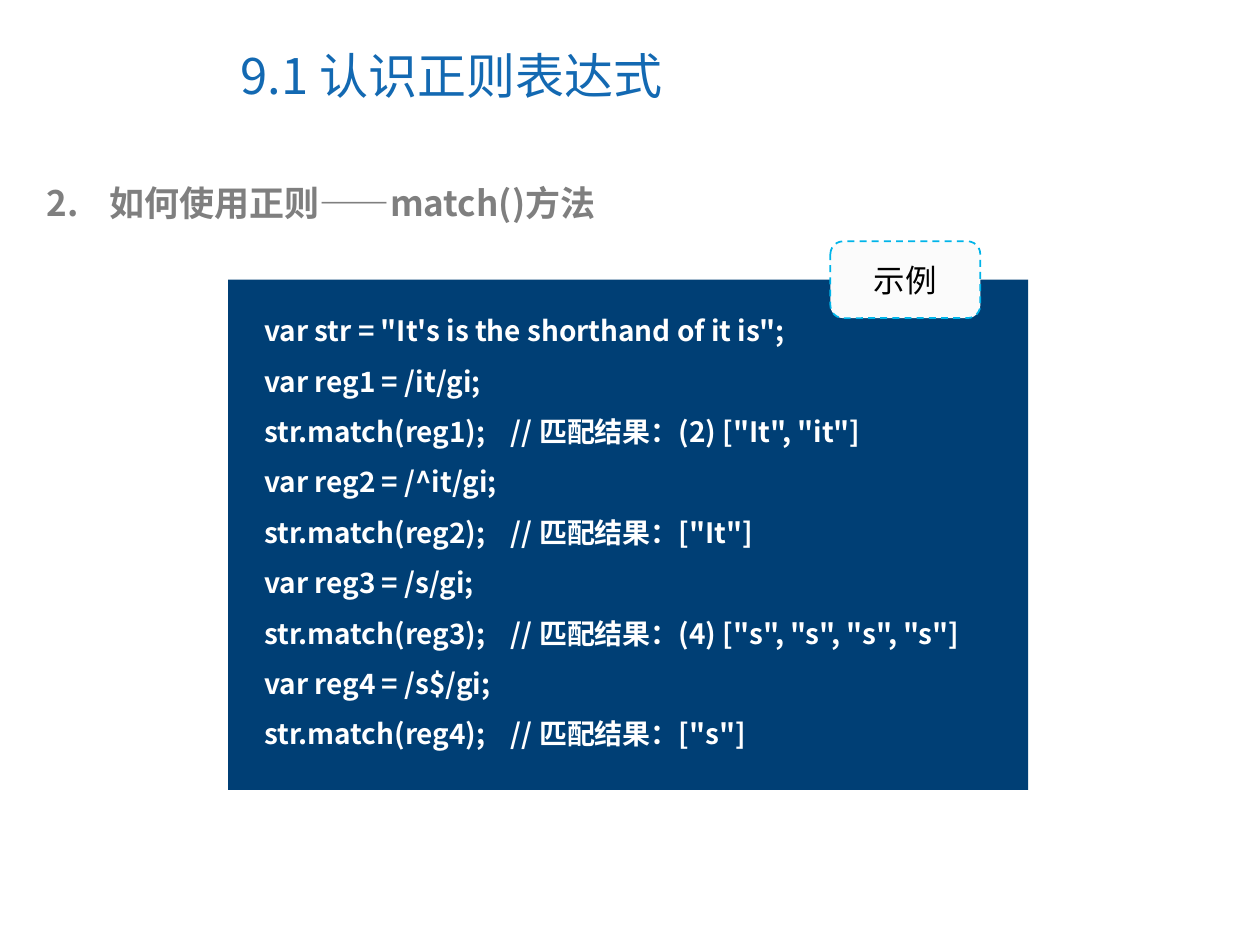
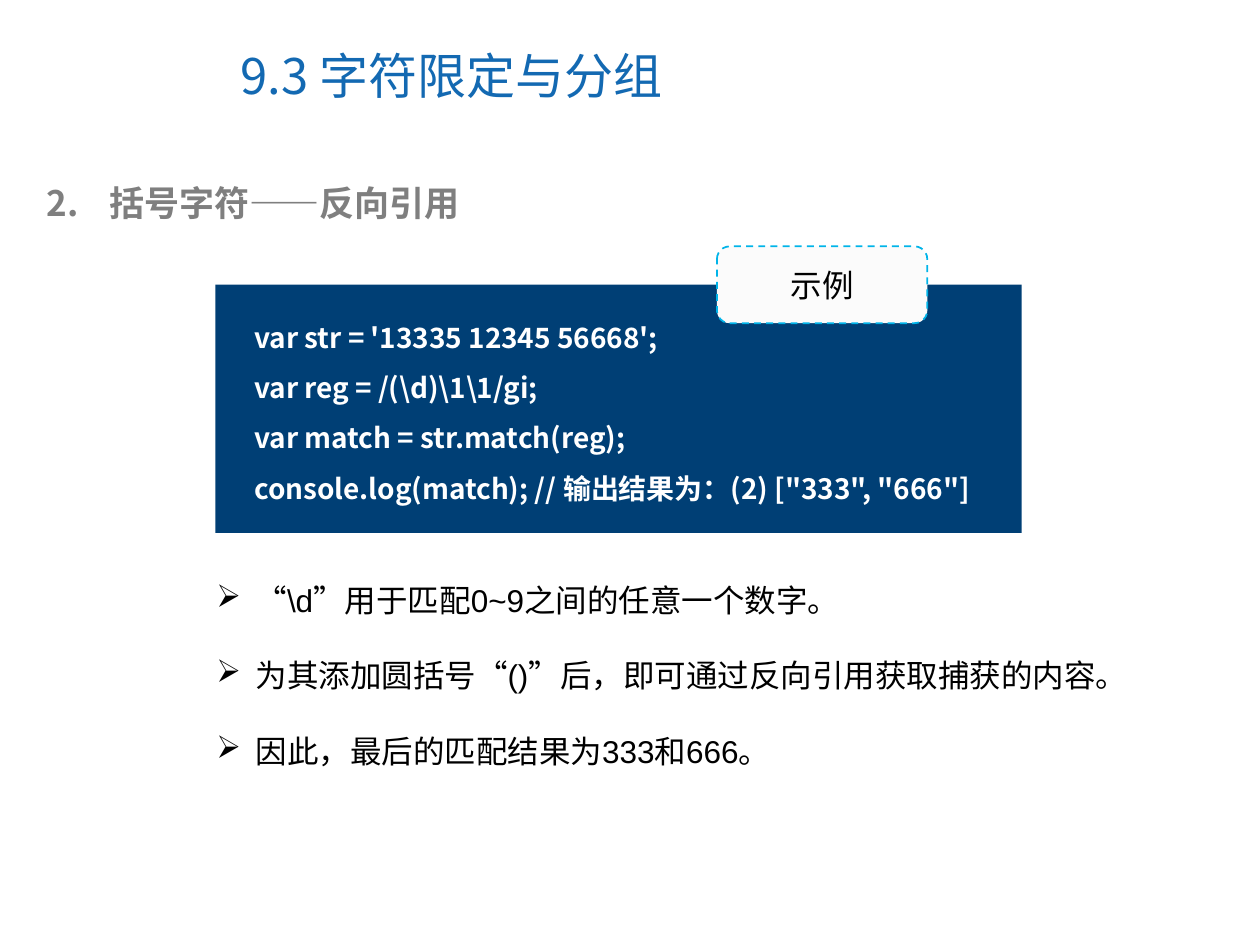
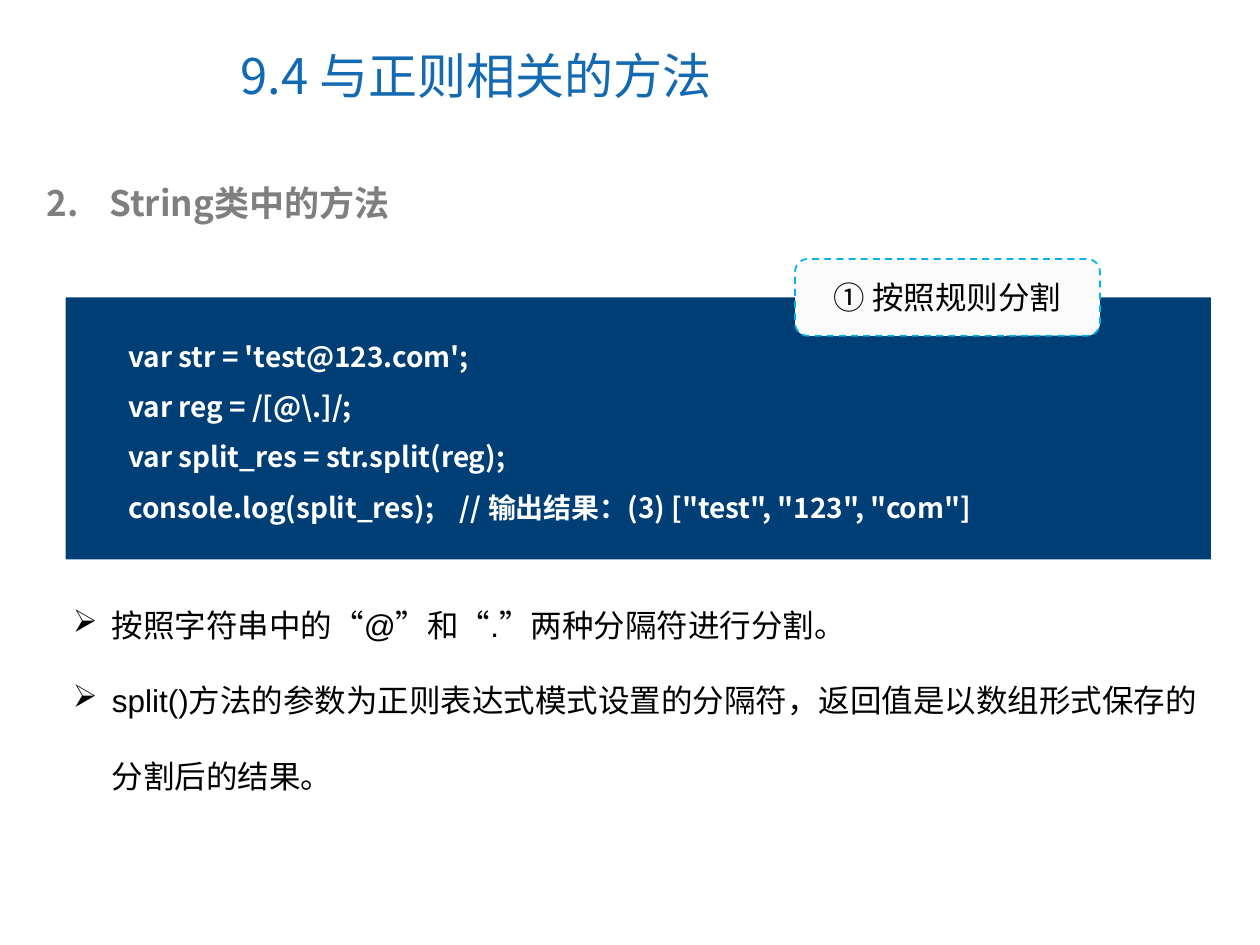
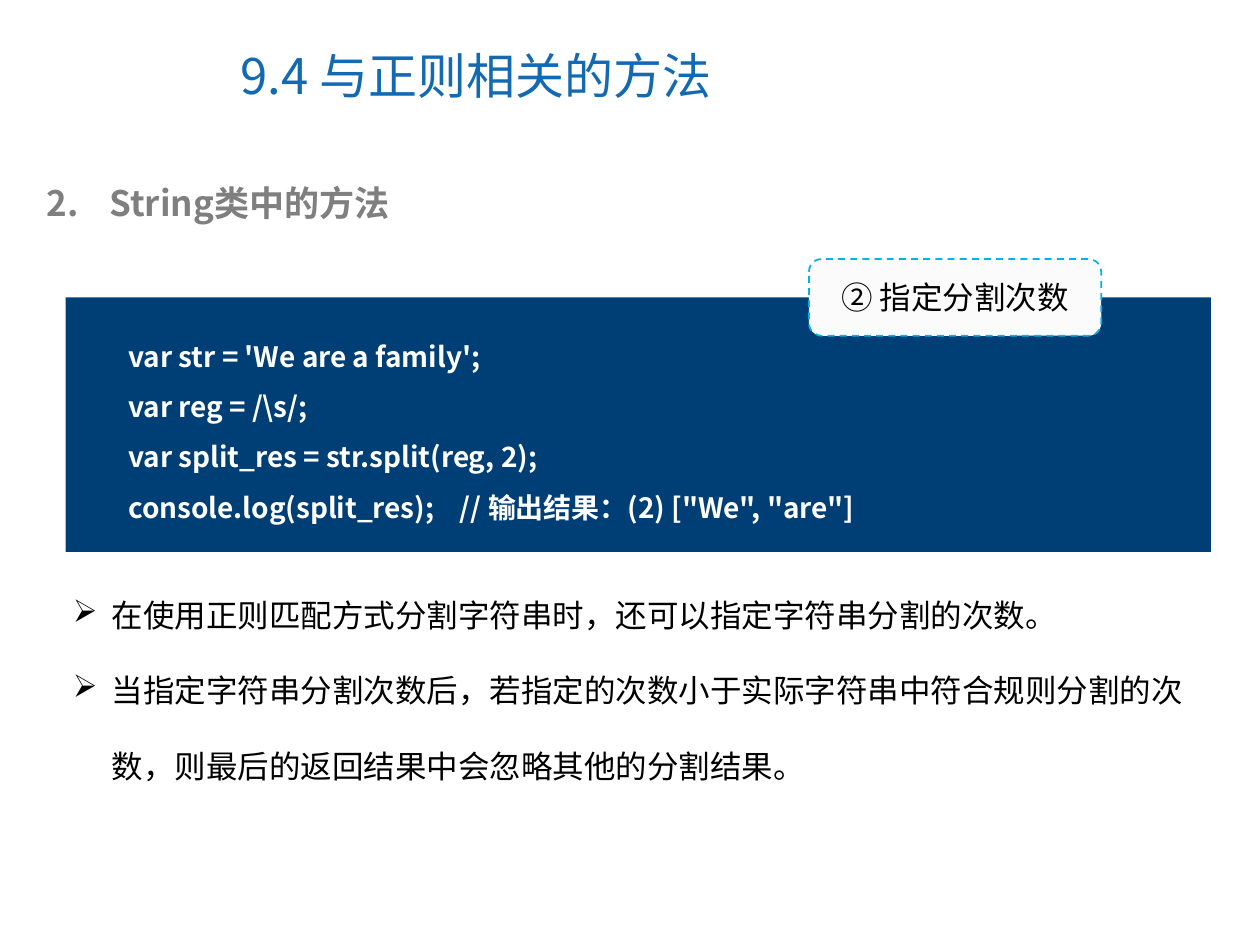
from lxml import etree
from pptx import Presentation
from pptx import util as u
from pptx.dml.color import RGBColor
from pptx.enum import dml, shapes, text
from pptx.oxml.ns import qn

COLORS = {
    "title": "1369B2",
    "heading": "7F7F7F",
    "panel": "003F75",
    "code": "FFFFFF",
    "tag": "FBFBFB",
    "tag_line": "00B4E9",
    "body": "000000",
}
CJK_FONT = "Noto Sans CJK SC"
BODY_FONT = "Arial"


def color(name):
    return RGBColor.from_string(COLORS[name])


def inches(*lengths):
    return [u.Inches(length) for length in lengths]


def add_bullet(para, kind, indent, **attributes):
    properties = para._p.get_or_add_pPr()
    properties.set("marL", str(u.Inches(indent)))
    properties.set("indent", str(-u.Inches(indent)))
    bullet = etree.SubElement(properties, qn(f"a:{kind}"))
    for key, value in attributes.items():
        bullet.set(key, value)


def write(box, lines, size, ink, font=BODY_FONT, bold=False, spacing=None,
          align=text.PP_ALIGN.LEFT, anchor=text.MSO_ANCHOR.TOP,
          fit=text.MSO_AUTO_SIZE.NONE, bullet=None):
    frame = box.text_frame
    frame.word_wrap = True
    frame.auto_size = fit
    frame.vertical_anchor = anchor
    for index, line in enumerate(lines):
        para = frame.add_paragraph() if index else frame.paragraphs[0]
        if bullet:
            add_bullet(para, **bullet)
        para.alignment = align
        if spacing:
            para.line_spacing = spacing
        span = para.add_run()
        span.text = line
        span.font.size = u.Pt(size)
        span.font.bold = bold
        span.font.name = font
        span.font.color.rgb = color(ink)
        east_asian = etree.SubElement(span._r.get_or_add_rPr(), qn("a:ea"))
        east_asian.set("typeface", CJK_FONT)


class LessonDeck:
    TAG_HEIGHT = 0.61

    def __init__(self):
        self.deck = Presentation()
        self.deck.slide_width, self.deck.slide_height = inches(10, 7.5)
        self.page = None

    def start(self, title, heading):
        self.page = self.deck.slides.add_slide(self.deck.slide_layouts[5])
        box = self.page.shapes.title
        box.left, box.top, box.width, box.height = inches(1.81, 0.17, 5.16, 0.85)
        write(box, [title], 28, "title", font=CJK_FONT, anchor=text.MSO_ANCHOR.MIDDLE)
        box = self.page.shapes.add_textbox(*inches(0.27, 1.39, 9.22, 0.44))
        write(box, [heading], 20, "heading", font=CJK_FONT, bold=True,
              fit=text.MSO_AUTO_SIZE.SHAPE_TO_FIT_TEXT,
              bullet={"kind": "buAutoNum", "indent": 0.5,
                      "type": "arabicPeriod", "startAt": "2"})

    def code(self, panel_place, code_place, lines):
        group = self.page.shapes.add_group_shape()
        panel = group.shapes.add_shape(shapes.MSO_SHAPE.RECTANGLE, *inches(*panel_place))
        panel.shadow.inherit = False
        panel.fill.solid()
        panel.fill.fore_color.rgb = color("panel")
        panel.line.fill.background()
        box = group.shapes.add_textbox(*inches(*code_place))
        write(box, lines, 16, "code", font=CJK_FONT, bold=True, spacing=1.5,
              fit=text.MSO_AUTO_SIZE.SHAPE_TO_FIT_TEXT)

    def points(self, place, lines):
        box = self.page.shapes.add_textbox(*inches(*place))
        write(box, lines, 18, "body", spacing=2.0,
              fit=text.MSO_AUTO_SIZE.SHAPE_TO_FIT_TEXT,
              bullet={"kind": "buChar", "indent": 0.31, "char": "➢"})

    def tag(self, label, left, width, panel_top):
        top = panel_top - self.TAG_HEIGHT / 2
        box = self.page.shapes.add_shape(
            shapes.MSO_SHAPE.ROUNDED_RECTANGLE, *inches(left, top, width, self.TAG_HEIGHT))
        box.shadow.inherit = False
        box.fill.solid()
        box.fill.fore_color.rgb = color("tag")
        box.line.color.rgb = color("tag_line")
        box.line.width = u.Pt(1)
        box.line.dash_style = dml.MSO_LINE.DASH
        write(box, [label], 18, "body", align=text.PP_ALIGN.CENTER,
              anchor=text.MSO_ANCHOR.MIDDLE)


def main():
    lesson = LessonDeck()

    lesson.start("9.1 认识正则表达式", "如何使用正则——match()方法")
    lesson.code((1.81, 2.22, 6.35, 4.05), (2, 2.31, 6.17, 3.7), [
        'var str = "It\'s is the shorthand of it is";',
        "var reg1 = /it/gi;",
        'str.match(reg1);    // 匹配结果：(2) ["It", "it"]',
        "var reg2 = /^it/gi;",
        'str.match(reg2);    // 匹配结果：["It"]',
        "var reg3 = /s/gi;",
        'str.match(reg3);    // 匹配结果：(4) ["s", "s", "s", "s"]',
        "var reg4 = /s$/gi;",
        'str.match(reg4);    // 匹配结果：["s"]',
    ])
    lesson.tag("示例", 6.59, 1.19, 2.22)

    lesson.start("9.3 字符限定与分组", "括号字符——反向引用")
    lesson.code((1.71, 2.26, 6.4, 1.97), (1.92, 2.36, 6.27, 1.7), [
        "var str = '13335 12345 56668';",
        r"var reg = /(\d)\1\1/gi;",
        "var match = str.match(reg);",
        'console.log(match); // 输出结果为：(2) ["333", "666"]',
    ])
    lesson.points((1.62, 4.26, 7.93, 1.9), [
        r"“\d”用于匹配0~9之间的任意一个数字。",
        "为其添加圆括号“()”后，即可通过反向引用获取捕获的内容。",
        "因此，最后的匹配结果为333和666。",
    ])
    lesson.tag("示例", 5.69, 1.67, 2.26)

    split_title, split_heading = "9.4 与正则相关的方法", "String类中的方法"
    split_code_place = (0.92, 2.51, 8.93, 1.7)

    lesson.start(split_title, split_heading)
    lesson.code((0.52, 2.36, 9.09, 2.08), split_code_place, [
        "var str = 'test@123.com';",
        r"var reg = /[@\.]/;",
        "var split_res = str.split(reg);",
        'console.log(split_res);    // 输出结果：(3) ["test", "123", "com"]',
    ])
    lesson.points((0.48, 4.46, 9.22, 1.9), [
        "按照字符串中的“@”和“.”两种分隔符进行分割。",
        "split()方法的参数为正则表达式模式设置的分隔符，返回值是以数组形式保存的分割后的结果。",
    ])
    lesson.tag("① 按照规则分割", 6.31, 2.42, 2.36)

    lesson.start(split_title, split_heading)
    lesson.code((0.52, 2.36, 9.09, 2.02), split_code_place, [
        "var str = 'We are a family';",
        r"var reg = /\s/;",
        "var split_res = str.split(reg, 2);",
        'console.log(split_res);    // 输出结果：(2) ["We", "are"]',
    ])
    lesson.points((0.48, 4.38, 9.22, 1.9), [
        "在使用正则匹配方式分割字符串时，还可以指定字符串分割的次数。",
        "当指定字符串分割次数后，若指定的次数小于实际字符串中符合规则分割的次数，则最后的返回结果中会忽略其他的分割结果。",
    ])
    lesson.tag("② 指定分割次数", 6.42, 2.32, 2.36)

    lesson.deck.save("out.pptx")


if __name__ == "__main__":
    main()
